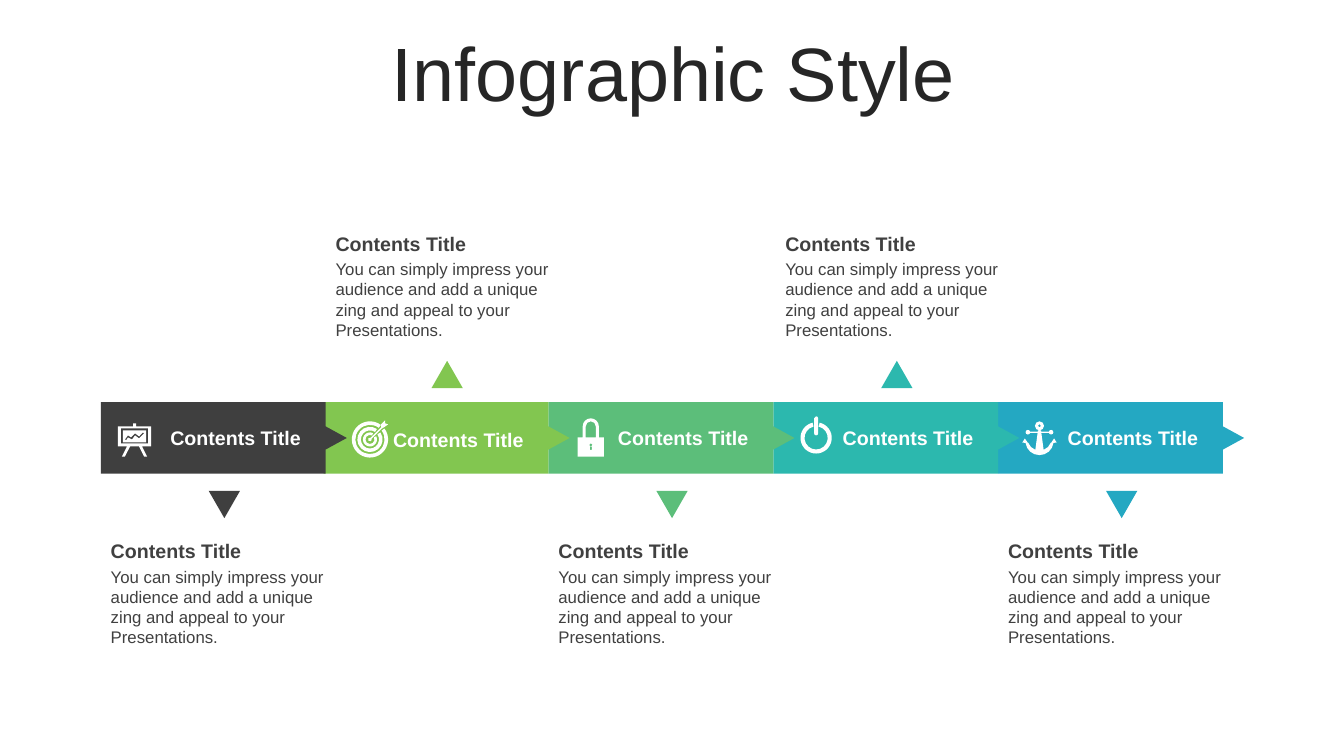
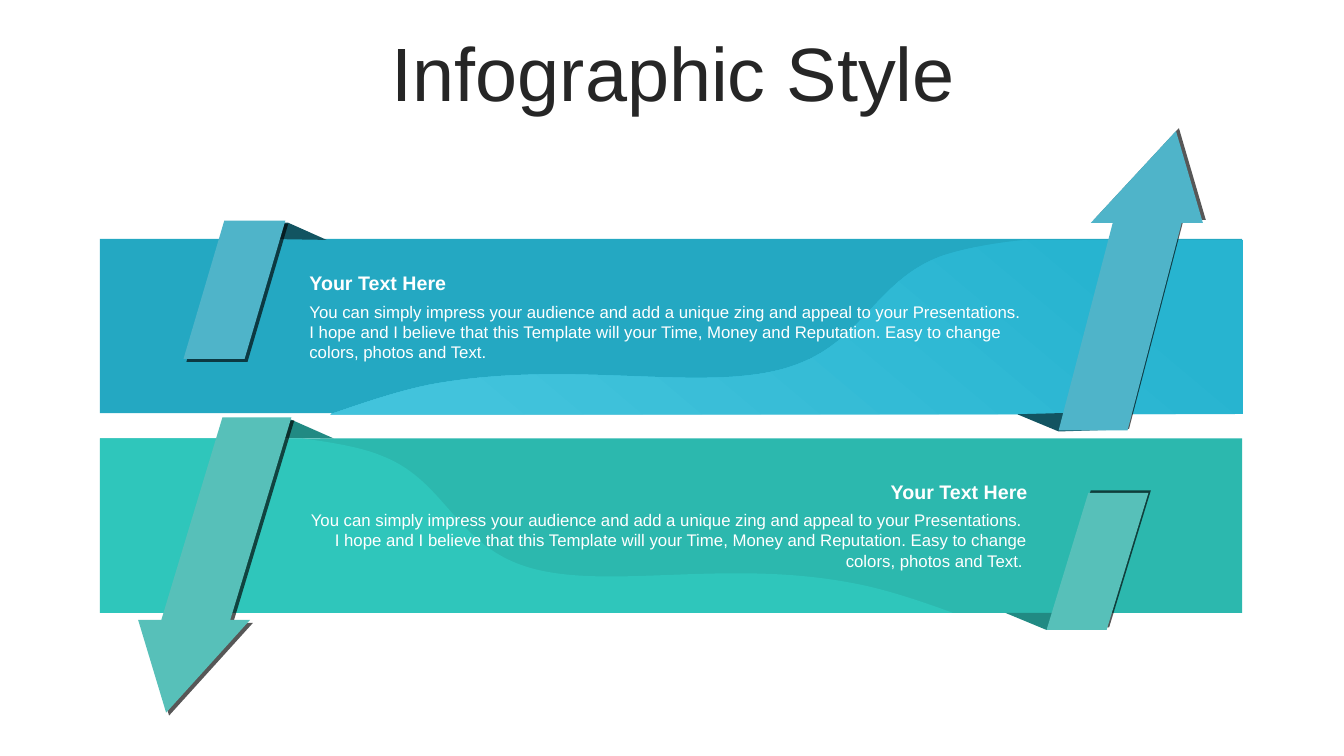
import math
import lxml.etree
import pptx
import pptx.util
import pptx.dml.color
import pptx.enum.shapes
import pptx.enum.text
import pptx.oxml.ns

Inch = pptx.util.Inches
RGB = pptx.dml.color.RGBColor
KIND = pptx.enum.shapes.MSO_SHAPE
ALIGN = pptx.enum.text.PP_ALIGN
ANCHOR = pptx.enum.text.MSO_ANCHOR
qn = pptx.oxml.ns.qn

FONT = "Arial"
WIDE, HIGH = 13.33, 7.5
INK = RGB(0x26, 0x26, 0x26)
GREY = RGB(0x40, 0x40, 0x40)
COAL = RGB(0x3F, 0x3F, 0x3F)
WHITE = RGB(0xFF, 0xFF, 0xFF)
LIME = RGB(0x82, 0xC6, 0x50)
GREEN = RGB(0x5C, 0xBE, 0x7A)
TEAL = RGB(0x2C, 0xB8, 0xAE)
BLUE = RGB(0x24, 0xA8, 0xC2)
SKY = RGB(0x4F, 0xB4, 0xC9)
MINT = RGB(0x57, 0xC0, 0xB9)
NAVY = RGB(0x12, 0x54, 0x61)
PINE = RGB(0x21, 0x8A, 0x83)
BLUES = [RGB(0x27, 0xB4, 0xD0), RGB(0x42, 0xC3, 0xDC)]
TEALS = [RGB(0x2F, 0xC6, 0xBB), RGB(0x30, 0xC8, 0xBD)]

TITLE = "Infographic Style"
HEAD = "Contents Title"
BODY = ("You can simply impress your audience and add a unique zing "
        "and appeal to your Presentations.")
CALL = "Your Text Here"
STORY = BODY + ("  I hope and I believe that this Template will your Time, Money "
                "and Reputation. Easy to change colors, photos and Text.")


def arc(x, y, r, start=0, end=360):
    """A point, then cubic curves, along a circle; degrees run clockwise."""
    count = math.ceil(abs(end - start) / 90)
    turn = math.radians((end - start) / count)
    reach = r * 4 / 3 * math.tan(turn / 4)
    spots = []
    for i in range(count + 1):
        t = math.radians(start) + i * turn
        spots.append((x + r * math.cos(t), y + r * math.sin(t),
                      -reach * math.sin(t), reach * math.cos(t)))
    curves = [(a + da, b + db, c - dc, d - dd, c, d)
              for (a, b, da, db), (c, d, dc, dd) in zip(spots, spots[1:])]
    return [spots[0][:2]] + curves


def ring(x, y, big, small, start, end):
    """An open ring."""
    return arc(x, y, big, start, end) + arc(x, y, small, end, start)


def rect(x, y, w, h):
    return [(x, y), (x + w, y), (x + w, y + h), (x, y + h)]


# Icons: outlines in hundredths of an inch
BOARD = [
    rect(0, 3, 33, 20), rect(3, 5, 27, 15), rect(5, 7, 23, 12),
    [(7, 16), (10, 12), (13, 14), (17, 10), (21, 13), (25, 9), (26, 10),
     (21, 15), (17, 12), (14, 16), (10, 14), (8, 17)],
    rect(15, 0, 3, 3),
    [(9, 23), (12, 23), (7, 33), (4, 33)],
    [(21, 23), (24, 23), (29, 33), (26, 33)]]
TARGET = [
    ring(18, 19, 18, 14.5, -37, 307),
    ring(18, 19, 12.5, 9, -34, 304),
    ring(18, 19, 7, 4.5, -27, 297),
    arc(18, 19, 2, -25, 295) + [
        (29, 7), (29, 4), (33, 0), (33, 3), (36, 4), (32, 7), (30, 8)]]
LOCK = [
    rect(0, 19, 26, 19), arc(13, 26.5, 1.7), rect(12, 28.2, 2, 3),
    [(5, 19)] + arc(13, 8, 8, 180, 360) + [(21, 19), (18, 19)]
    + arc(13, 8, 5, 360, 180) + [(8, 19)]]
POWER = [
    ring(15.5, 21.5, 15.5, 11.5, -77, 257),
    arc(15.5, 2, 2, 180, 360) + arc(15.5, 17, 2, 0, 180)]
HOOK = [
    arc(17, 4.5, 4.5), arc(17, 4.5, 1.6),
    arc(5.5, 10.8, 2.3), arc(28.5, 10.8, 2.3),
    rect(7.8, 10.2, 7.4, 1.2), rect(18.8, 10.2, 7.4, 1.2),
    arc(17, 19.5, 14, 8, 172) + [(0, 21), (2.5, 17), (5.2, 21)]
    + arc(17, 17, 12, 160, 110) + [(15.5, 9), (18.5, 9)]
    + arc(17, 17, 12, 70, 20) + [(28.8, 21), (31.5, 17), (34, 21)]]

# colour, icon, icon offset and top, label top, text above the band
STEPS = [
    (COAL, BOARD, 0.17, 4.2, 4.18, False),
    (LIME, TARGET, 0.28, 4.17, 4.2, True),
    (GREEN, LOCK, 0.29, 4.15, 4.18, False),
    (TEAL, POWER, 0.27, 4.13, 4.18, True),
    (BLUE, HOOK, 0.24, 4.18, 4.18, False),
]
LEFT, RIGHT, STEP, PITCH = 1, 9.9, 2.44, 2.23
TOP, BAND, TIP, NOTCH = 3.99, 0.71, 0.21, 0.24

# band top, colour, wave tones, wave outline, text top, align, last words
BANDS = [
    (2.37, BLUE, BLUES, [
        (10.18, 2.38), (12.33, 2.38), (12.33, 4.11), (3.28, 4.11),
        (3.68, 3.97, 4.05, 3.85, 4.36, 3.8), (5.68, 3.58, 6.9, 3.88, 7.73, 3.67),
        (8.56, 3.46, 8.64, 2.8, 9.34, 2.54), (9.55, 2.47, 9.85, 2.41, 10.18, 2.38),
    ], 2.64, ALIGN.LEFT, ""),
    (4.35, TEAL, TEALS, [
        (3, 4.35), (0.99, 4.35), (0.99, 6.08), (9.45, 6.08),
        (9.07, 5.94, 8.72, 5.83, 8.43, 5.78), (7.2, 5.55, 6.06, 5.85, 5.28, 5.64),
        (4.51, 5.43, 4.44, 4.77, 3.78, 4.52), (3.59, 4.44, 3.3, 4.39, 3, 4.35),
    ], 4.71, ALIGN.RIGHT, " "),
]
FOLDS = [
    (NAVY, [(2.31, 2.2), (2.86, 2.21), (3.24, 2.38), (2.61, 2.37)]),
    (NAVY, [(10.09, 4.11), (10.81, 4.09), (11.15, 4.26), (10.5, 4.28)]),
    (PINE, [(2.26, 4.15), (2.88, 4.16), (3.31, 4.35), (2.59, 4.34)]),
    (PINE, [(9.97, 6.08), (10.6, 6.08), (10.89, 6.25), (10.38, 6.25)]),
]
# kind, left, top, width, height, adjustment, turn, colour, rim width, rim angle
SLANT, POINT = KIND.PARALLELOGRAM, KIND.ISOSCELES_TRIANGLE
RIBBONS = [
    (SLANT, 1.82, 2.19, 1.01, 1.37, 0.4, 0, SKY, 3, 45),
    (SLANT, 10.5, 2.21, 1.22, 2.06, 0.44, 0, SKY, 1.5, 315),
    (POINT, 10.82, 1.3, 1.11, 0.91, 0.76, 0, SKY, 3, 315),
    (SLANT, 1.6, 4.14, 1.29, 2.01, 0.47, 0, MINT, 3, 45),
    (POINT, 1.37, 6.15, 1.11, 0.92, 0.75, 180, MINT, 3, 45),
    (SLANT, 10.38, 4.89, 1.01, 1.36, 0.41, 0, MINT, 2.5, 315),
]


def paint(shape, tone):
    shape.shadow.inherit = False
    shape.line.fill.background()
    if isinstance(tone, list):
        shape.fill.gradient()
        shape.fill.gradient_angle = 230
        for stop, shade, place in zip(shape.fill.gradient_stops, tone, (0.14, 0.88)):
            stop.color.rgb = shade
            stop.position = place
    else:
        shape.fill.solid()
        shape.fill.fore_color.rgb = tone
    return shape


def draw(slide, loops, tone, x=0, y=0, unit=1):
    """Fill closed outlines of points and cubic curves, moved to x, y."""
    pen = None
    for loop in loops:
        dots = [(Inch(x + part[i] * unit), Inch(y + part[i + 1] * unit))
                for part in loop for i in range(0, len(part), 2)]
        if pen:
            pen.move_to(*dots[0])
        else:
            pen = slide.shapes.build_freeform(*dots[0], scale=1.0)
        pen.add_line_segments(dots[1:], close=True)
    shape = pen.convert_to_shape()
    nodes = iter(list(next(shape._element.iter(qn("a:path")))))
    for loop in loops:
        for part in loop:
            node = next(nodes)
            if len(part) == 6:
                node.tag = qn("a:cubicBezTo")
                for _ in range(2):
                    extra = next(nodes)
                    node.append(extra[0])
                    extra.getparent().remove(extra)
        next(nodes)
    return paint(shape, tone)


def form(slide, kind, x, y, w, h, tone):
    box = map(Inch, (x, y, w, h))
    return paint(slide.shapes.add_shape(kind, *box), tone)


def rim(shape, width, angle):
    """Give the shape a hard dark edge on one side."""
    make = lxml.etree.SubElement
    effects = shape._element.spPr.find(qn("a:effectLst"))
    shade = make(effects, qn("a:outerShdw"), blurRad="0",
                 dist=str(pptx.util.Pt(width)), dir=str(angle * 60000),
                 algn="ctr", rotWithShape="0")
    black = make(shade, qn("a:srgbClr"), val="000000")
    make(black, qn("a:alpha"), val="65000")


def write(slide, text, x, y, w, h, size=12, tone=WHITE, bold=False,
          align=ALIGN.LEFT, anchor=ANCHOR.TOP, space=1.0):
    frame = slide.shapes.add_textbox(*map(Inch, (x, y, w, h))).text_frame
    frame.word_wrap = True
    frame.vertical_anchor = anchor
    para = frame.paragraphs[0]
    para.alignment = align
    para.line_spacing = space
    run = para.add_run()
    run.text = text
    run.font.name = FONT
    run.font.size = pptx.util.Pt(size)
    run.font.bold = bold
    run.font.color.rgb = tone


def start(deck):
    slide = deck.slides.add_slide(deck.slide_layouts[6])
    write(slide, TITLE, 0.35, 0.37, 12.66, 0.79, size=54, tone=INK,
          align=ALIGN.CENTER, anchor=ANCHOR.MIDDLE, space=0.9)
    return slide


def chain(deck):
    slide = start(deck)
    neck = STEP - TIP
    link = [(0, 0), (neck, 0), (neck, NOTCH), (STEP, BAND / 2),
            (neck, BAND - NOTCH), (neck, BAND), (0, BAND)]
    last = len(STEPS) - 1
    for i, (tone, icon, dx, top, line, above) in reversed(list(enumerate(STEPS))):
        x = max(LEFT, RIGHT - (last - i) * PITCH)
        draw(slide, [link], tone, x, TOP)
        draw(slide, icon, WHITE, x + dx, top, 0.01)
        write(slide, HEAD, x + 0.59, line, 1.51, 0.34, size=14, bold=True)
        mark = form(slide, POINT, x + 1.07, 3.58 if above else 4.87,
                    0.31, 0.27, tone)
        mark.rotation = 0 if above else 180
        left, y = (x + 0.02, 2.25) if above else (x, 5.3)
        write(slide, HEAD, left, y, STEP, 0.34, size=14, tone=GREY, bold=True)
        write(slide, BODY, left, y + 0.27, STEP, 0.91, tone=GREY)


def ribbons(deck):
    slide = start(deck)
    for y, tone, tones, wave, top, align, tail in BANDS:
        form(slide, KIND.RECTANGLE, 0.99, y, 11.33, 1.73, tone)
        draw(slide, [wave], tones)
        write(slide, CALL, 2.97, top, 7.32, 0.34, size=14, bold=True, align=align)
        write(slide, STORY + tail, 2.97, top + 0.3, 7.32, 0.71, align=align)
    for tone, loop in FOLDS:
        draw(slide, [loop], tone)
    for kind, x, y, w, h, adjust, turn, tone, width, angle in RIBBONS:
        part = form(slide, kind, x, y, w, h, tone)
        part.adjustments[0] = adjust
        part.rotation = turn
        rim(part, width, angle)


def main():
    deck = pptx.Presentation()
    deck.slide_width, deck.slide_height = Inch(WIDE), Inch(HIGH)
    chain(deck)
    ribbons(deck)
    deck.save("out.pptx")


if __name__ == "__main__":
    main()
